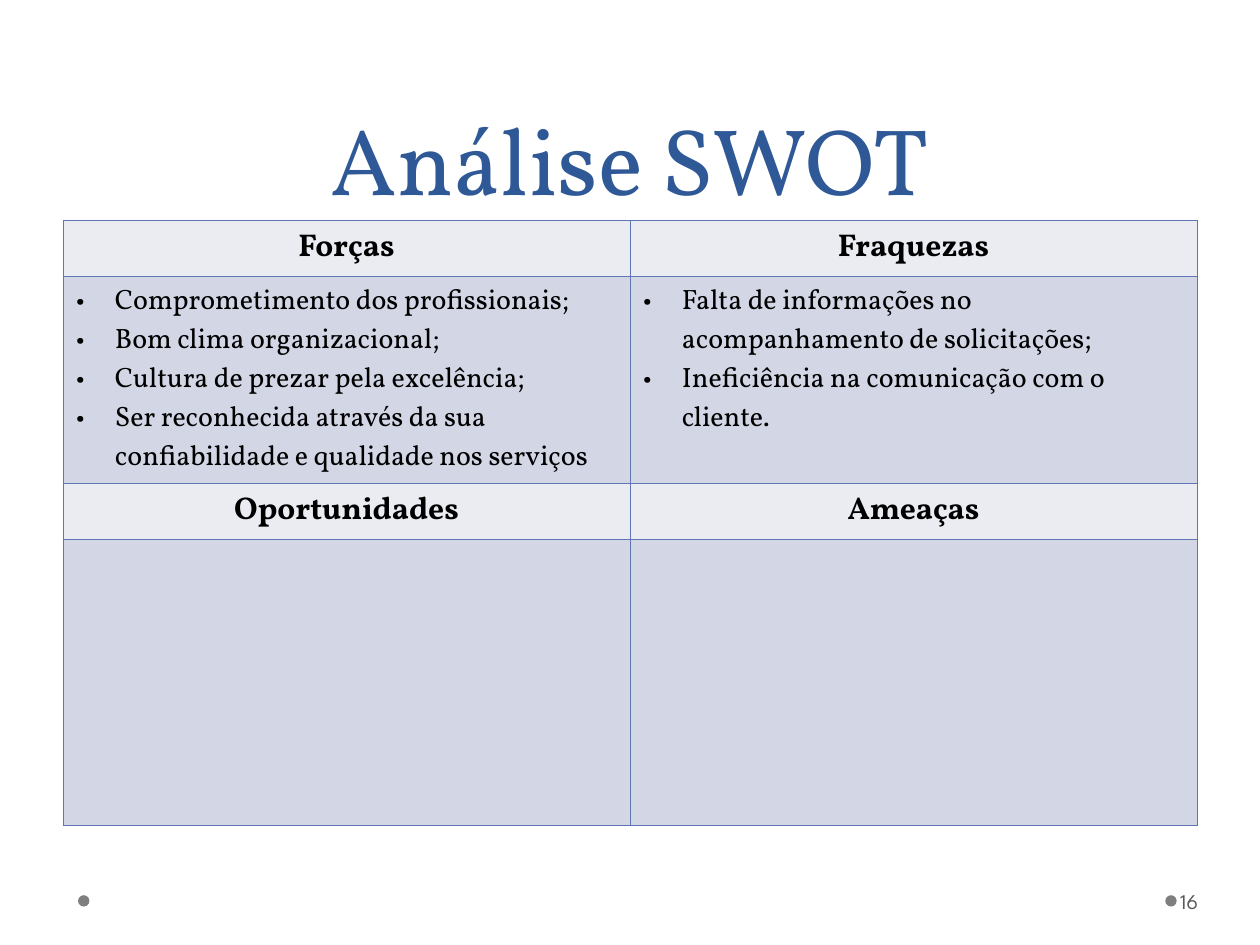
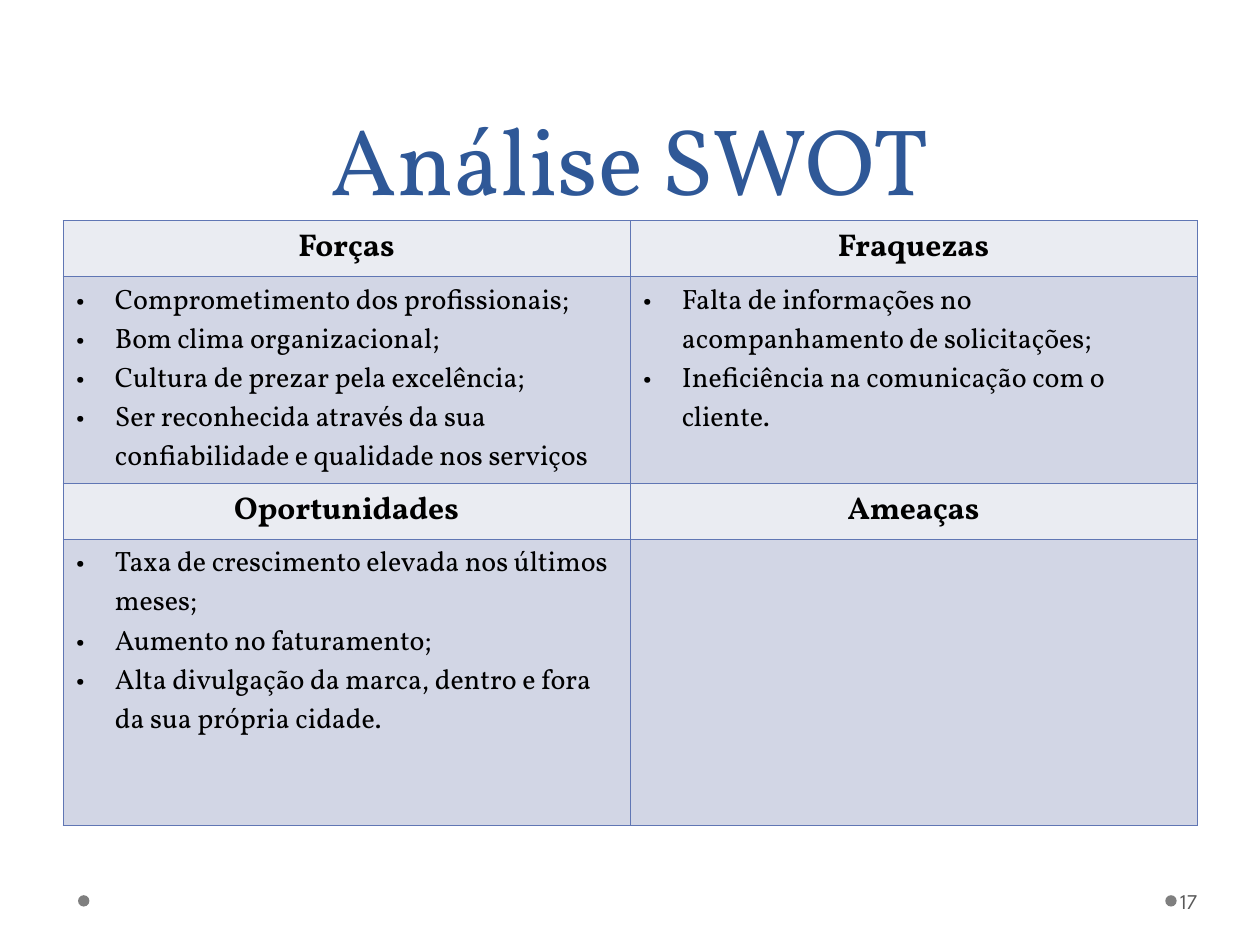
from pptx import Presentation
from pptx.dml.color import RGBColor
from pptx.enum.shapes import MSO_SHAPE as SHAPE
from pptx.enum.text import MSO_ANCHOR as ANCHOR, PP_ALIGN as ALIGN
from pptx.oxml import parse_xml
from pptx.oxml.ns import nsdecls
from pptx.util import Pt

COLORS = {
    "title": "2F5897", "text": "000000", "number": "595959", "dot": "7F7F7F",
    "heading_fill": "EAECF2", "body_fill": "D2D6E5", "border": "6076B4",
}
TITLE = {"name": "Vollkorn", "size": Pt(54)}
HEADING = {"name": "Vollkorn", "size": Pt(18), "bold": True}
BODY = {"name": "Vollkorn", "size": Pt(16), "bold": False}
NUMBER = {"name": "League Spartan", "size": Pt(12)}

TITLE_BOX = (36, 0, 648, 126)
TABLE_BOX = (36, 126, 648, 347)
FOOTER_BOX = (44.6, 500.4, 671.8, 28.8)
ROW_HEIGHTS = (32, 118, 32, 164)
INDENT = 22.5
DOT = 6.5

STRENGTHS = [
    "Comprometimento dos profissionais;",
    "Bom clima organizacional;",
    "Cultura de prezar pela excelência;",
    "Ser reconhecida através da sua confiabilidade e qualidade nos serviços",
]
WEAKNESSES = [
    "Falta de informações no acompanhamento de solicitações;",
    "Ineficiência na comunicação com o cliente.",
]
OPPORTUNITIES = [
    "Taxa de crescimento elevada nos últimos meses;",
    "Aumento no faturamento;",
    "Alta divulgação da marca, dentro e fora da sua própria cidade.",
]
SLIDES = [(16, []), (17, OPPORTUNITIES)]


def rgb(key):
    return RGBColor.from_string(COLORS[key])


def points(*values):
    return [Pt(v) for v in values]


def add_run(p, text, style, color):
    r = p.add_run()
    r.text = text
    for name, value in style.items():
        setattr(r.font, name, value)
    r.font.color.rgb = rgb(color)


def add_text(s, box, text, style, color, **frame):
    tf = s.shapes.add_textbox(*points(*box)).text_frame
    tf.word_wrap = True
    for name, value in frame.items():
        setattr(tf, name, value)
    p = tf.paragraphs[0]
    add_run(p, text, style, color)
    return p


def add_title(s, box):
    p = add_text(s, box, "Análise SWOT", TITLE, "title",
                 vertical_anchor=ANCHOR.BOTTOM)
    p.alignment = ALIGN.CENTER
    p.line_spacing = Pt(58)


def add_footer(s, box, number):
    left, top, width, height = box
    number_left = left + width - 44
    dot_top = top + (height - DOT) / 2
    for x in (number_left - DOT, left):
        sp = s.shapes.add_shape(SHAPE.OVAL, *points(x, dot_top, DOT, DOT))
        sp.shadow.inherit = False
        sp.fill.solid()
        sp.fill.fore_color.rgb = rgb("dot")
        sp.line.fill.background()
    add_text(s, (number_left, top, 44, height), str(number), NUMBER, "number",
             vertical_anchor=ANCHOR.MIDDLE, margin_left=Pt(2), margin_right=Pt(3.6))


def style_cell(cell, fill):
    tcPr = cell._tc.get_or_add_tcPr()
    for side in "LRTB":
        tcPr.append(parse_xml(
            f'<a:ln{side} {nsdecls("a")} w="{Pt(0.45)}"><a:solidFill>'
            f'<a:srgbClr val="{COLORS["border"]}"/></a:solidFill></a:ln{side}>'))
    cell.fill.solid()
    cell.fill.fore_color.rgb = rgb(fill)


def add_bullet(p):
    pPr = p._p.get_or_add_pPr()
    pPr.set("marL", str(Pt(INDENT)))
    pPr.set("indent", str(-Pt(INDENT)))
    for xml in (f'<a:buClr {nsdecls("a")}><a:srgbClr val="{COLORS["text"]}"/></a:buClr>',
                f'<a:buFont {nsdecls("a")} typeface="Vollkorn"/>',
                f'<a:buChar {nsdecls("a")} char="•"/>'):
        pPr.append(parse_xml(xml))


def fill_heading(cell, text):
    style_cell(cell, "heading_fill")
    p = cell.text_frame.paragraphs[0]
    p.alignment = ALIGN.CENTER
    add_run(p, text, HEADING, "text")


def fill_list(cell, items):
    style_cell(cell, "body_fill")
    tf = cell.text_frame
    for i, item in enumerate(items):
        p = tf.add_paragraph() if i else tf.paragraphs[0]
        add_bullet(p)
        add_run(p, item, BODY, "text")


def add_swot_table(s, box, quadrants):
    """Lay out four (heading, items) pairs two by two, each heading above its list."""
    table = s.shapes.add_table(len(ROW_HEIGHTS), 2, *points(*box)).table
    table.first_row = table.horz_banding = False
    for row, height in zip(table.rows, ROW_HEIGHTS):
        row.height = Pt(height)
    for column in table.columns:
        column.width = Pt(box[2] / 2)
    for i, (heading, items) in enumerate(quadrants):
        row, col = i // 2 * 2, i % 2
        fill_heading(table.cell(row, col), heading)
        fill_list(table.cell(row + 1, col), items)


def add_swot_slide(prs, number, opportunities):
    s = prs.slides.add_slide(prs.slide_layouts[6])
    add_title(s, TITLE_BOX)
    add_swot_table(s, TABLE_BOX, [
        ("Forças", STRENGTHS), ("Fraquezas", WEAKNESSES),
        ("Oportunidades", opportunities), ("Ameaças", []),
    ])
    add_footer(s, FOOTER_BOX, number)


def main():
    prs = Presentation()
    prs.slide_width, prs.slide_height = Pt(720), Pt(540)
    for number, opportunities in SLIDES:
        add_swot_slide(prs, number, opportunities)
    prs.save("out.pptx")


if __name__ == "__main__":
    main()
